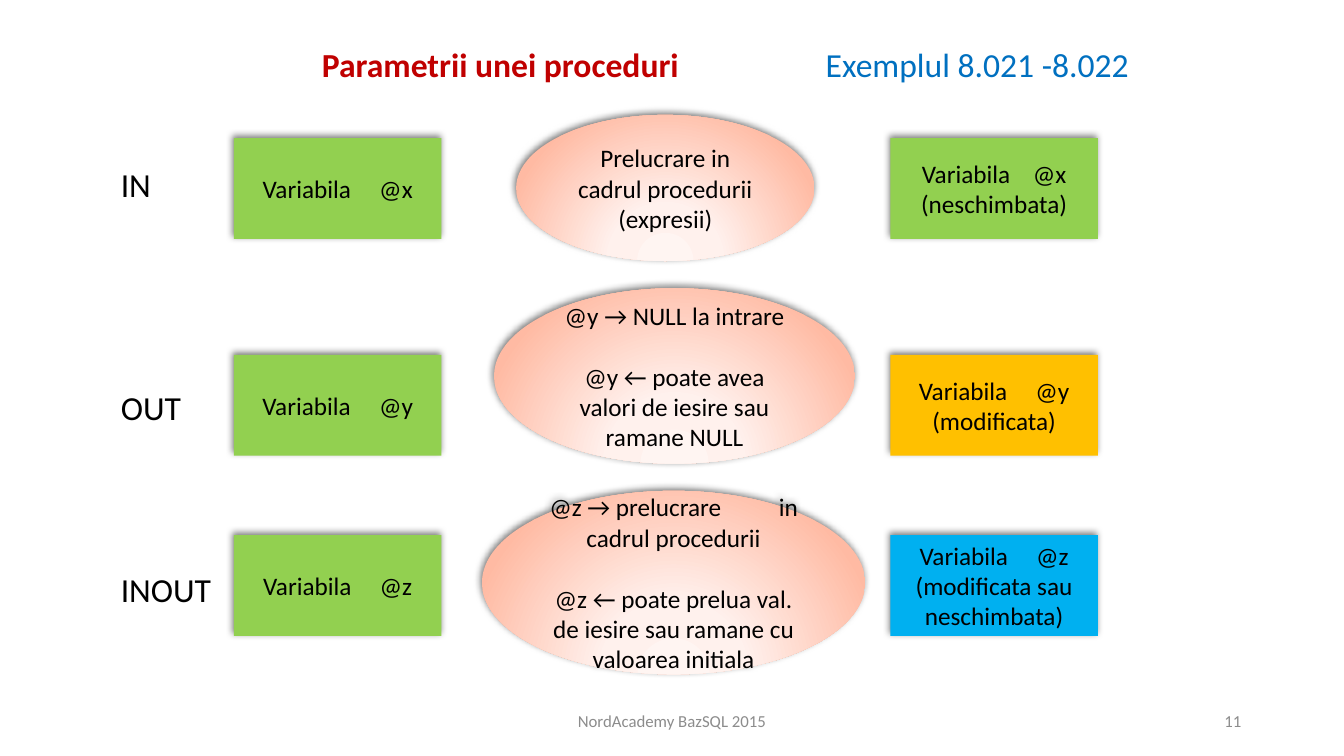
from lxml.etree import SubElement
from pptx import Presentation
from pptx.dml.color import RGBColor
from pptx.enum.shapes import MSO_SHAPE
from pptx.enum.text import MSO_ANCHOR, MSO_AUTO_SIZE, PP_ALIGN
from pptx.oxml import parse_xml
from pptx.oxml.ns import nsdecls, qn
from pptx.util import Inches, Pt

BLACK = RGBColor(0x00, 0x00, 0x00)
GREY = RGBColor(0x8C, 0x8C, 0x8C)
RED = RGBColor(0xC0, 0x00, 0x00)
BLUE = RGBColor(0x00, 0x70, 0xC0)
GREEN = RGBColor(0x92, 0xD0, 0x50)
AMBER = RGBColor(0xFF, 0xC0, 0x00)
SKY = RGBColor(0x00, 0xB0, 0xF0)
PEACH_STOPS = [(0, "FFF5F2"), (34, "FFF1ED"), (100, "FFBAA3")]

deck = Presentation()
deck.slide_width, deck.slide_height = Inches(13.33), Inches(7.5)
slide = deck.slides.add_slide(deck.slide_layouts[5])


def area(left, top, width, height):
    """Turn percentages of the slide into a position and size."""
    across, down = deck.slide_width / 100, deck.slide_height / 100
    return int(left * across), int(top * down), int(width * across), int(height * down)


def write(holder, paragraphs, size, color=BLACK, align=PP_ALIGN.CENTER, bold=False, gap=0):
    """Fill a text frame; "|" marks a single space widened by gap points."""
    frame = holder.text_frame
    settings = {"word_wrap": True, "auto_size": MSO_AUTO_SIZE.NONE,
                "vertical_anchor": MSO_ANCHOR.MIDDLE}
    for name, value in settings.items():
        setattr(frame, name, value)
    for index, text in enumerate(paragraphs):
        paragraph = frame.add_paragraph() if index else frame.paragraphs[0]
        paragraph.alignment = align
        paragraph.space_before = Pt(22 if index else 0)
        for piece in text.replace("|", "| |").split("|"):
            run = paragraph.add_run()
            run.text = piece
            font_format = {"name": "Calibri", "size": Pt(size), "bold": bold}
            for name, value in font_format.items():
                setattr(run.font, name, value)
            run.font.color.rgb = color
            if piece == " ":
                run.font._element.set("spc", str(gap * 100))


# Heading
title = slide.shapes.title
title.left, title.top, title.width, title.height = area(23.2, 5.3, 34, 6.4)
write(title, ["Parametrii unei proceduri"], 24, RED, PP_ALIGN.LEFT, bold=True)
example = slide.shapes.add_textbox(*area(60.7, 5.3, 28, 6.4))
write(example, ["Exemplul 8.021 -8.022"], 24, BLUE, PP_ALIGN.LEFT)

# One row per parameter mode: label, input variable, processing, result
LABEL_LEFT, INPUT_LEFT, RESULT_LEFT = 8.25, 17.4, 66.24
BOX_WIDTH, BOX_HEIGHT, LABEL_HEIGHT = 15.45, 13.33, 6.4
modes = [
    ("IN", 18.27, 24.4, "x", (38.4, 15.2, 22.2, 19.33),
     ["Prelucrare in cadrul procedurii (expresii)"],
     "(neschimbata)", GREEN, 12),
    ("OUT", 46.93, 53.8, "y", (36.76, 38.13, 26.86, 23.2),
     ["@y → NULL la intrare", "@y ← poate avea valori de iesire sau ramane NULL"],
     "(modificata)", AMBER, 16),
    ("INOUT", 70.8, 77.9, "z", (35.86, 64.93, 28.51, 24.27),
     ["@z → prelucrare|in cadrul procedurii",
      "@z ← poate prelua val. de iesire sau ramane cu valoarea initiala"],
     "(modificata sau neschimbata)", SKY, 16),
]
for mode, top, middle, variable, oval, processing, outcome, result_color, result_gap in modes:
    label = slide.shapes.add_textbox(
        *area(LABEL_LEFT, middle - LABEL_HEIGHT / 2, 9.2, LABEL_HEIGHT))
    write(label, [mode], 24, align=PP_ALIGN.LEFT)

    parts = [
        (MSO_SHAPE.OVAL, oval, None, processing, 37),
        (MSO_SHAPE.RECTANGLE, (INPUT_LEFT, top, BOX_WIDTH, BOX_HEIGHT), GREEN,
         [f"Variabila|@{variable}"], 16),
        (MSO_SHAPE.RECTANGLE, (RESULT_LEFT, top, BOX_WIDTH, BOX_HEIGHT), result_color,
         [f"Variabila|@{variable} {outcome}"], result_gap),
    ]
    for kind, place, color, paragraphs, gap in parts:
        step = slide.shapes.add_shape(kind, *area(*place))
        step.line.fill.background()
        step.shadow.inherit = False
        properties = step._element.spPr
        if color is None:
            # Peach glow spreading from below the oval
            stops = "".join(f'<a:gs pos="{share * 1000}"><a:srgbClr val="{shade}"/></a:gs>'
                            for share, shade in PEACH_STOPS)
            properties.find(qn("a:prstGeom")).addnext(parse_xml(
                f'<a:gradFill {nsdecls("a")} rotWithShape="1"><a:gsLst>{stops}</a:gsLst>'
                '<a:path path="circle"><a:fillToRect l="50000" t="155000" '
                'r="50000" b="-55000"/></a:path></a:gradFill>'))
        else:
            step.fill.solid()
            step.fill.fore_color.rgb = color
        # Soft shadow towards the top
        shadow = SubElement(properties.find(qn("a:effectLst")), qn("a:outerShdw"),
                            blurRad=str(Pt(5)), dist=str(Pt(2)),
                            dir=str(245 * 60000), rotWithShape="0")
        shade = SubElement(shadow, qn("a:srgbClr"), val="000000")
        SubElement(shade, qn("a:alpha"), val="50000")
        write(step, paragraphs, 18, gap=gap)

# Footer and page number
for text, left, width, align in [("NordAcademy BazSQL 2015", 38.1, 23.8, PP_ALIGN.CENTER),
                                 ("11", 66.24, 26.86, PP_ALIGN.RIGHT)]:
    footer = slide.shapes.add_textbox(*area(left, 92.67, width, 5.33))
    write(footer, [text], 12, GREY, align)

deck.save("out.pptx")
